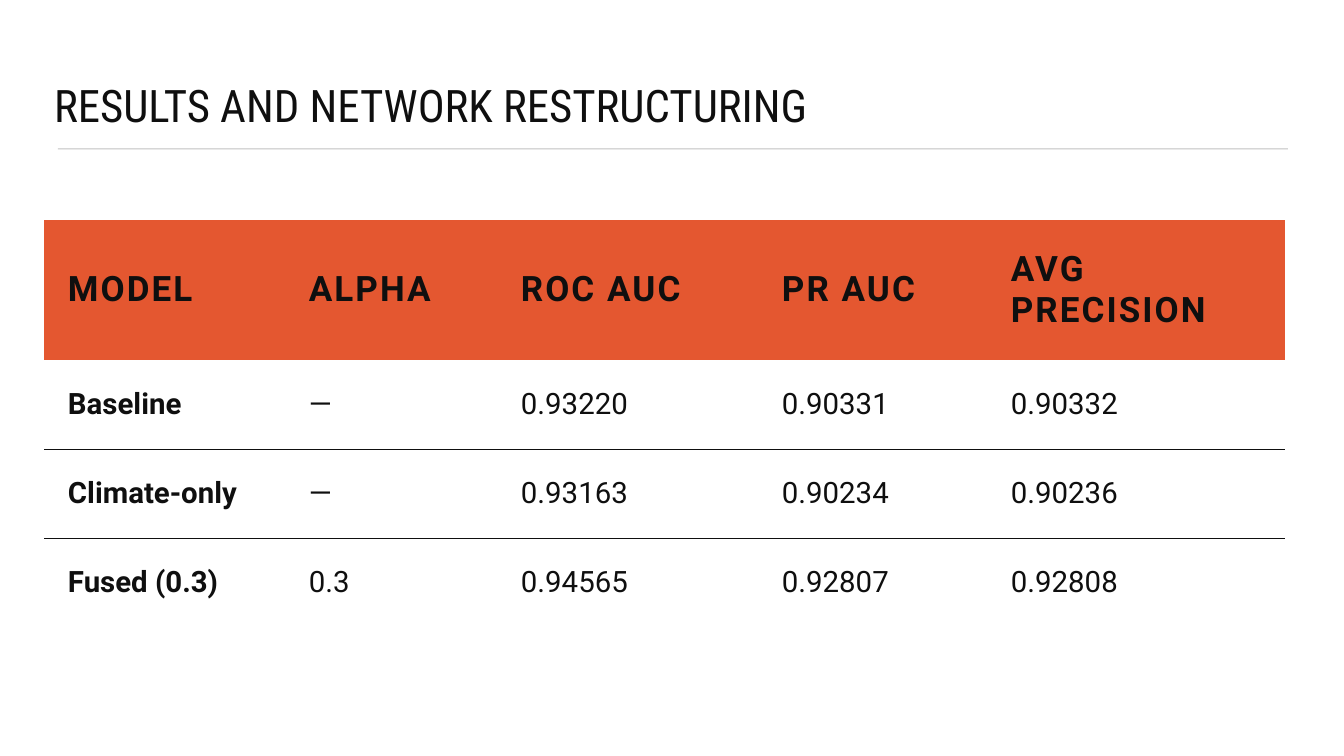
from lxml import etree
from pptx import Presentation
from pptx.dml.color import RGBColor
from pptx.enum.shapes import MSO_CONNECTOR
from pptx.enum.text import MSO_ANCHOR, MSO_AUTO_SIZE, PP_ALIGN
from pptx.oxml import parse_xml
from pptx.oxml.ns import nsdecls, qn
from pptx.util import Pt

STRAIGHT = MSO_CONNECTOR.STRAIGHT
MIDDLE, BOTTOM = MSO_ANCHOR.MIDDLE, MSO_ANCHOR.BOTTOM
NO_FIT = MSO_AUTO_SIZE.NONE
LEFT = PP_ALIGN.LEFT

INK = RGBColor(0x0F, 0x0F, 0x0F)
ORANGE = RGBColor(0xE4, 0x57, 0x30)
NO_STYLE = "{2D5ABB26-0587-4C30-8999-92F81FD0307C}"

ROWS = [
    ["MODEL", "ALPHA", "ROC AUC", "PR AUC", "AVG PRECISION"],
    ["Baseline", "—", "0.93220", "0.90331", "0.90332"],
    ["Climate-only", "—", "0.93163", "0.90234", "0.90236"],
    ["Fused (0.3)", "0.3", "0.94565", "0.92807", "0.92808"],
]
COL_WIDTHS = [241, 212, 261, 229, 298]
ROW_HEIGHTS = [140, 89, 89, 89]


def px(n):
    return round(n * 914400 / 100.8)


def add_border(cell, side):
    """Draw a thin rule on one side of a cell ("T" or "B")."""
    ln = parse_xml(
        f'<a:ln{side} {nsdecls("a")} w="{Pt(0.5)}"><a:solidFill>'
        f'<a:srgbClr val="{INK}"/></a:solidFill></a:ln{side}>')
    cell._tc.get_or_add_tcPr().insert(0, ln)


prs = Presentation()
prs.slide_width, prs.slide_height = px(1344), px(756)
s = prs.slides.add_slide(prs.slide_layouts[5])

# Rule under the title
rule = s.shapes.add_connector(STRAIGHT, px(58), px(149), px(1288), px(149))
rule.line.color.rgb = INK
rule.line.width = Pt(0.75)
color = rule.line._ln.find(".//" + qn("a:srgbClr"))
etree.SubElement(color, qn("a:alpha"), val="25000")
etree.SubElement(rule._element.spPr, qn("a:effectLst"))

# Title
title = s.shapes.title
title.left, title.top, title.width, title.height = px(44), px(36), px(1241), px(101)
tf = title.text_frame
tf.text = "RESULTS AND NETWORK RESTRUCTURING"
tf.auto_size = NO_FIT
tf.vertical_anchor = BOTTOM
p = tf.paragraphs[0]
p.alignment = LEFT
p.line_spacing = 0.9
font = p.runs[0].font
font.name, font.size, font.color.rgb = "Roboto Condensed", Pt(32), INK

# Results table
frame = s.shapes.add_table(len(ROWS), len(COL_WIDTHS), px(44), px(220),
                           px(sum(COL_WIDTHS)), px(sum(ROW_HEIGHTS)))
table = frame.table
table.horz_banding = False
table._tbl.tblPr.find(qn("a:tableStyleId")).text = NO_STYLE
for column, width in zip(table.columns, COL_WIDTHS):
    column.width = px(width)
for row, height in zip(table.rows, ROW_HEIGHTS):
    row.height = px(height)

for i, values in enumerate(ROWS):
    header = i == 0
    for j, value in enumerate(values):
        cell = table.cell(i, j)
        cell.text = value
        cell.vertical_anchor = MIDDLE
        cell.margin_left = cell.margin_right = px(24)
        cell.margin_top = cell.margin_bottom = px(24)
        r = cell.text_frame.paragraphs[0].runs[0]
        r.font.name, r.font.color.rgb = "Roboto", INK
        r.font.size = Pt(25 if header else 21)
        r.font.bold = header or j == 0
        if header:
            r._r.get_or_add_rPr().set("spc", "150")
            cell.fill.solid()
            cell.fill.fore_color.rgb = ORANGE
        else:
            cell.fill.background()
            if i < len(ROWS) - 1:
                add_border(cell, "B")
            if i > 1:
                add_border(cell, "T")

prs.save("out.pptx")
